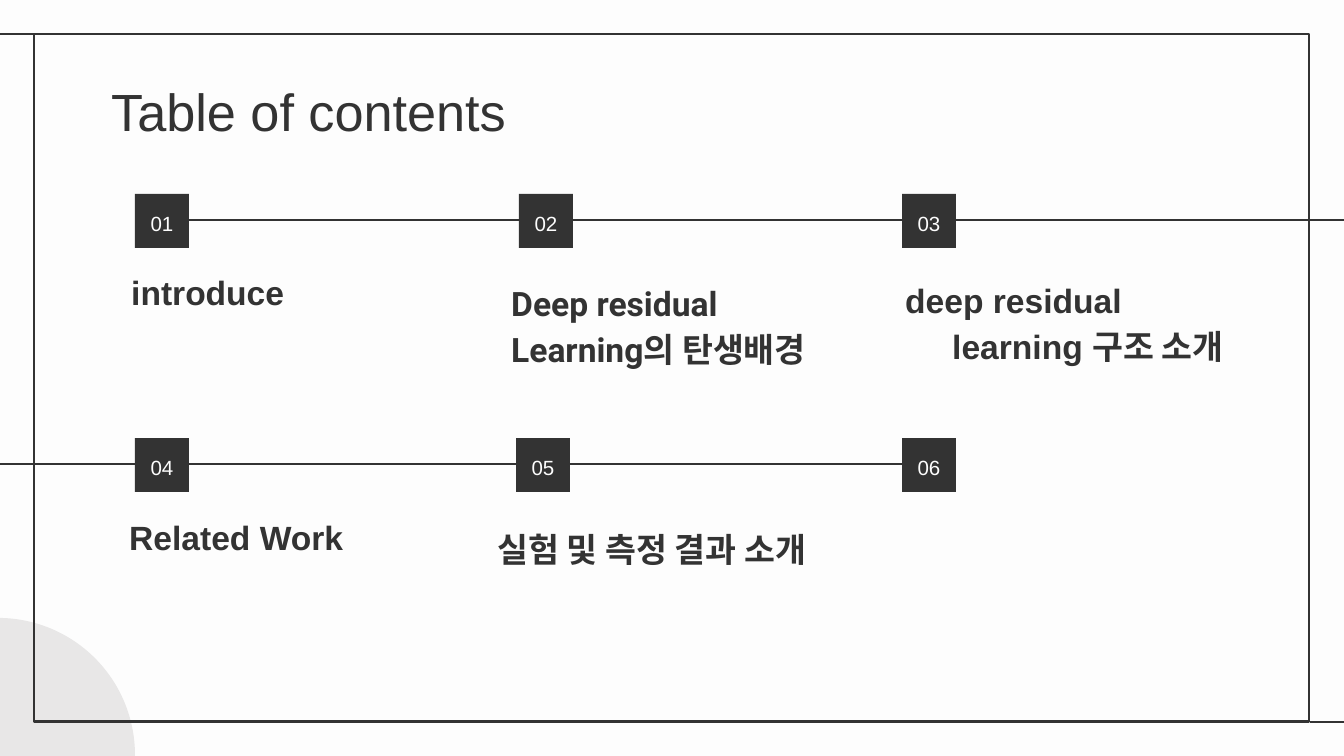
from lxml.etree import SubElement
from pptx import Presentation
from pptx.dml.color import RGBColor
from pptx.enum.shapes import MSO_CONNECTOR as CONNECTOR, MSO_SHAPE as SHAPE
from pptx.enum.text import MSO_ANCHOR as ANCHOR, PP_ALIGN as ALIGN
from pptx.oxml.ns import qn
from pptx.util import Inches, Pt

PX = Inches(10) / 1344
INK = RGBColor(0x33, 0x33, 0x33)
PAPER = RGBColor(0xFD, 0xFD, 0xFD)
PALE = RGBColor(0xE8, 0xE7, 0xE7)

MARKER = 54
ROWS = (194, 438)
# number, left, row
MARKERS = [
    ("01", 135, 0), ("02", 519, 0), ("03", 902, 0),
    ("04", 135, 1), ("05", 516, 1), ("06", 902, 1),
]
# lines, left, top, width, font, hanging indent
TOPICS = [
    (["introduce"], 98, 270, 315, "Arial", True),
    (["Deep residual", "Learning의 탄생배경"], 478, 327, 387, "Roboto", True),
    (["deep residual learning 구조 소개"], 872, 324, 399, "Arial", True),
    (["Related Work"], 116, 515, 339, "Arial", False),
    (["실험 및 측정 결과 소개"], 464, 527, 399, "Calibri", True),
]


def px(*lengths):
    return [round(length * PX) for length in lengths]


def add_figure(page, kind, area, fill=None, outlined=False):
    figure = page.shapes.add_shape(kind, *px(*area))
    figure.shadow.inherit = False
    if fill is None:
        figure.fill.background()
    else:
        figure.fill.solid()
        figure.fill.fore_color.rgb = fill
    if outlined:
        figure.line.color.rgb = INK
        figure.line.width = Pt(1.5)
    else:
        figure.line.fill.background()
    return figure


def add_rule(page, left, right, y):
    rule = page.shapes.add_connector(CONNECTOR.STRAIGHT, *px(left, y, right, y))
    rule.line.color.rgb = INK
    rule.line.width = Pt(1.5)
    SubElement(rule._element.spPr, qn("a:effectLst"))


def write(shape, lines, size, color=INK, font="Arial", bold=False, anchor=ANCHOR.TOP,
          align=ALIGN.LEFT, spacing=1.0, hanging=False):
    frame = shape.text_frame
    frame.word_wrap = True
    frame.vertical_anchor = anchor
    frame.margin_left = frame.margin_right = Inches(0.1)
    frame.margin_top = frame.margin_bottom = Inches(0.1)
    frame.text = "\n".join(lines)
    for para in frame.paragraphs:
        para.alignment = align
        para.line_spacing = spacing
        para.font.name = font
        para.font.size = Pt(size)
        para.font.bold = bold
        para.font.color.rgb = color
        if hanging:
            margin, indent = px(67, -47)
            properties = para._p.get_or_add_pPr()
            properties.set("marL", str(margin))
            properties.set("indent", str(indent))


def add_text(page, area, lines, size, **style):
    box = page.shapes.add_textbox(*px(*area))
    write(box, lines, size, **style)


def add_marker(page, number, left, row):
    marker = add_figure(page, SHAPE.RECTANGLE, (left, ROWS[row], MARKER, MARKER), INK)
    write(marker, [number], 11, color=PAPER, anchor=ANCHOR.MIDDLE,
          align=ALIGN.CENTER, spacing=1.15)


def main():
    deck = Presentation()
    deck.slide_width, deck.slide_height = px(1344, 756)
    page = deck.slides.add_slide(deck.slide_layouts[6])
    page.background.fill.solid()
    page.background.fill.fore_color.rgb = PAPER

    # Corner disc and frame with its two tails
    add_figure(page, SHAPE.OVAL, (-139, 618, 274, 274), PALE)
    add_figure(page, SHAPE.RECTANGLE, (34, 34, 1275, 688), outlined=True)
    add_rule(page, 35, -3, 34)
    add_rule(page, 1348, 1310, 722)

    # Timelines
    add_rule(page, 189, 1367, 220)
    add_rule(page, 902, -24, 464)

    # Title, numbers and topics
    add_text(page, (98, 66, 1133, 85), ["Table of contents"], 28)
    for number, left, row in MARKERS:
        add_marker(page, number, left, row)
    for lines, left, top, width, font, hanging in TOPICS:
        add_text(page, (left, top, width, 56), lines, 18, font=font, bold=True,
                 anchor=ANCHOR.BOTTOM, spacing=1.15, hanging=hanging)

    deck.save("out.pptx")


if __name__ == "__main__":
    main()
